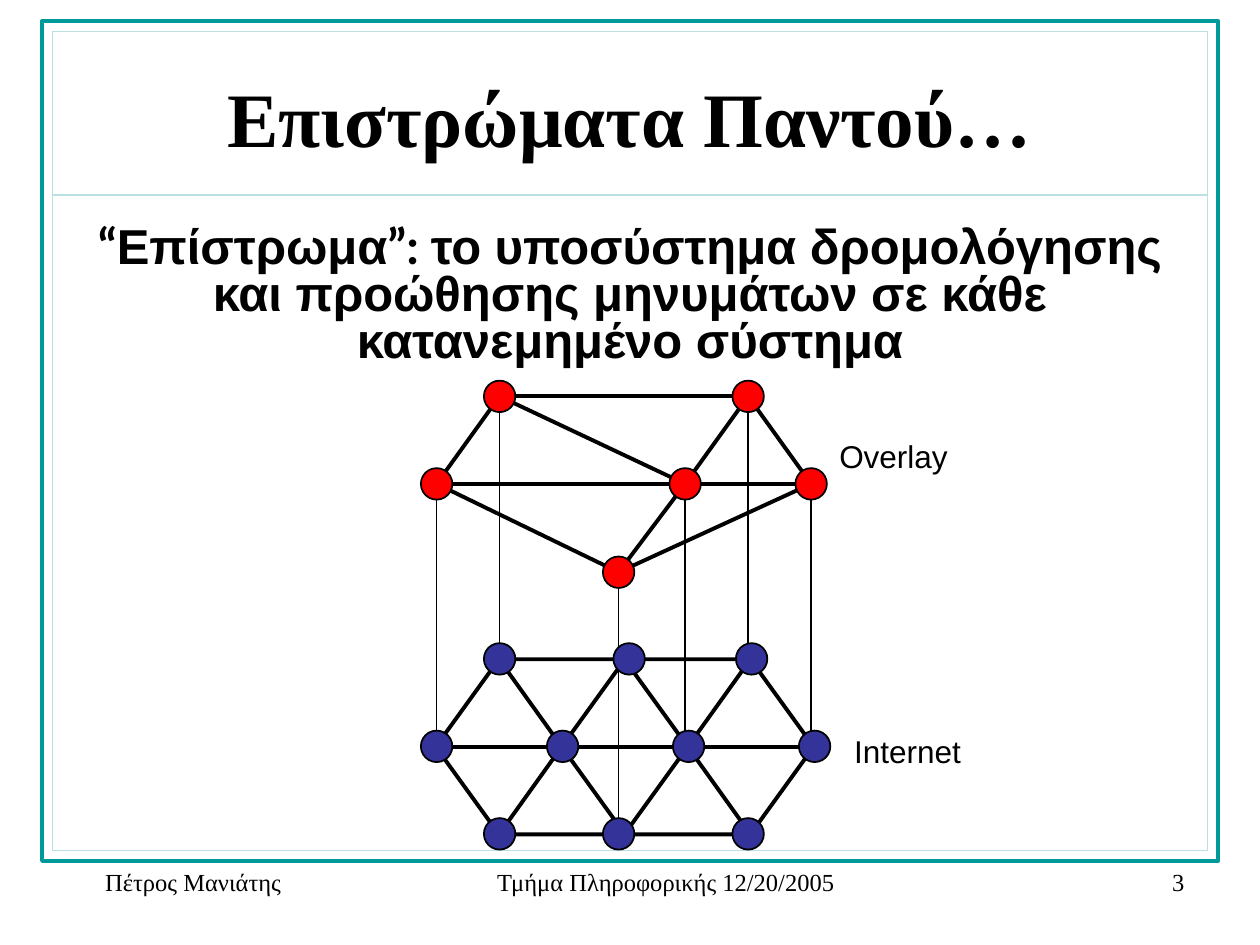
from lxml.etree import SubElement
from pptx import Presentation
from pptx.dml.color import RGBColor
from pptx.enum.shapes import MSO_CONNECTOR as Link, MSO_SHAPE as Kind
from pptx.enum.text import MSO_ANCHOR as Anchor, MSO_AUTO_SIZE as Fit, PP_ALIGN as Align
from pptx.oxml.ns import qn
from pptx.util import Pt

COLORS = {"ink": "000000", "frame": "009999", "rule": "BBE0E3",
          "overlay": "FF0000", "internet": "333399"}
SERIF, SANS, QUOTE = "Times New Roman", "Arial", "Lato"

TITLE = "Επιστρώματα Παντού…"
DEFINITION = [
    ("“", QUOTE),
    ("Επίστρωμα", SANS),
    ("”: ", QUOTE),
    ("το υποσύστημα δρομολόγησης και προώθησης μηνυμάτων σε κάθε "
     "κατανεμημένο σύστημα", SANS),
]
FRAMES = [((24, 12, 672, 480), "frame", 2.25), ((30, 18, 660, 468), "rule", 1)]
OVERLAY = {"west": (249.5, 276.5), "northwest": (285.5, 226.5), "northeast": (427.5, 226.5),
           "east": (463.5, 276.5), "middle": (391.5, 276.5), "south": (353.5, 327)}
OVERLAY_LINKS = [
    ("west", "middle"), ("northeast", "middle"), ("west", "northwest"),
    ("northwest", "northeast"), ("northwest", "middle"), ("middle", "east"),
    ("east", "south"), ("south", "middle"), ("south", "west"), ("northeast", "east"),
]
INTERNET_ROWS = [(376.5, (285.5, 359.5, 429.5)),
                 (426.5, (249.5, 321.5, 393.5, 465.5)),
                 (476.5, (285.5, 353.5, 427.5))]
LABELS = [("Internet", (481, 414.5, 84, 29)), ("Overlay", (472.5, 246, 84, 29))]
FOOTERS = [("Τμήμα Πληροφορικής 12/20/2005", (180, 492, 384, 37.5), Align.CENTER),
           ("3", (570, 492, 114, 37.5), Align.RIGHT),
           ("Πέτρος Μανιάτης", (36, 492, 138, 37.5), Align.LEFT)]
NODE_SIZE, DROP = 18, 150
HEX_LEFT, HEX_TOP, HEX_WIDTH, HEX_HEIGHT, HEX_STEP = 249, 376.5, 144, 100.5, 36


def color(name):
    return RGBColor.from_string(COLORS[name])


def place(box, at):
    box.left, box.top, box.width, box.height = map(Pt, at)


def write(box, text, *, size, font=SERIF, bold=False, align=Align.LEFT,
          anchor=Anchor.TOP, spacing=1, indent=0, wrap=True):
    """Fill a box with one paragraph; text is a string or (text, font) pairs."""
    frame = box.text_frame
    frame.auto_size = Fit.NONE
    frame.word_wrap, frame.vertical_anchor = wrap, anchor
    para = frame.paragraphs[0]
    properties = para._p.get_or_add_pPr()
    properties.set("marL", str(Pt(indent)))
    properties.set("indent", "0")
    SubElement(properties, qn("a:buNone"))
    para.alignment, para.line_spacing, para.space_before = align, spacing, Pt(0)
    for words, face in [(text, font)] if isinstance(text, str) else text:
        span = para.add_run()
        span.text = words
        span.font.name, span.font.size, span.font.bold = face, Pt(size), bold
        span.font.color.rgb = color("ink")


def add_outline(page, kind, at, line="ink", width=1.0, fill=None):
    shape = page.shapes.add_shape(kind, *map(Pt, at))
    shape.shadow.inherit = False
    shape.line.color.rgb, shape.line.width = color(line), Pt(width)
    if fill:
        shape.fill.solid()
        shape.fill.fore_color.rgb = color(fill)
    else:
        shape.fill.background()
    return shape


def add_line(page, start, end, width=2.25, line="ink"):
    link = page.shapes.add_connector(Link.STRAIGHT, *map(Pt, (*start, *end)))
    link.line.color.rgb, link.line.width = color(line), Pt(width)
    SubElement(link._element.spPr, qn("a:effectLst"))


def add_node(page, x, y, fill):
    half = NODE_SIZE / 2
    add_outline(page, Kind.OVAL, (x - half, y - half, NODE_SIZE, NODE_SIZE), fill=fill)


def draw_overlay(page):
    for x, y in OVERLAY.values():
        add_line(page, (x, y), (x, y + DROP), 0.75)
    for start, end in OVERLAY_LINKS:
        add_line(page, OVERLAY[start], OVERLAY[end])
    for x, y in OVERLAY.values():
        add_node(page, x, y, "overlay")


def draw_internet(page):
    for left in (HEX_LEFT, HEX_LEFT + HEX_WIDTH / 2):
        hexagon = add_outline(page, Kind.HEXAGON, (left, HEX_TOP, HEX_WIDTH, HEX_HEIGHT),
                              width=2.25)
        hexagon.adjustments[0], hexagon.adjustments[1] = 0.36, 1.15
    middle = HEX_TOP + HEX_HEIGHT / 2
    add_line(page, (HEX_LEFT, middle), (HEX_LEFT + 6 * HEX_STEP, middle))
    for outer, inner in ((1, 2), (5, 4)):
        for y in (HEX_TOP, HEX_TOP + HEX_HEIGHT):
            add_line(page, (HEX_LEFT + outer * HEX_STEP, y),
                     (HEX_LEFT + inner * HEX_STEP, middle))
    for y, columns in INTERNET_ROWS:
        for x in columns:
            add_node(page, x, y, "internet")


def main():
    deck = Presentation()
    deck.slide_width, deck.slide_height = Pt(720), Pt(540)
    page = deck.slides.add_slide(deck.slide_layouts[1])
    for at, line, width in FRAMES:
        add_outline(page, Kind.RECTANGLE, at, line, width)
    add_line(page, (30, 111.5), (690, 111.5), 0.75, "rule")

    title, body = page.placeholders
    place(title, (36, 21.5, 648, 90))
    write(title, TITLE, size=44, bold=True, align=Align.CENTER, anchor=Anchor.MIDDLE)
    place(body, (36, 126, 648, 356.5))
    write(body, DEFINITION, size=28, bold=True, align=Align.CENTER, spacing=0.8)

    draw_overlay(page)
    draw_internet(page)
    for text, at in LABELS:
        write(page.shapes.add_textbox(*map(Pt, at)), text, size=18, font=SANS)
    for text, at, align in FOOTERS:
        write(page.shapes.add_textbox(*map(Pt, at)), text, size=14, align=align, indent=17)
    deck.save("out.pptx")


if __name__ == "__main__":
    main()
